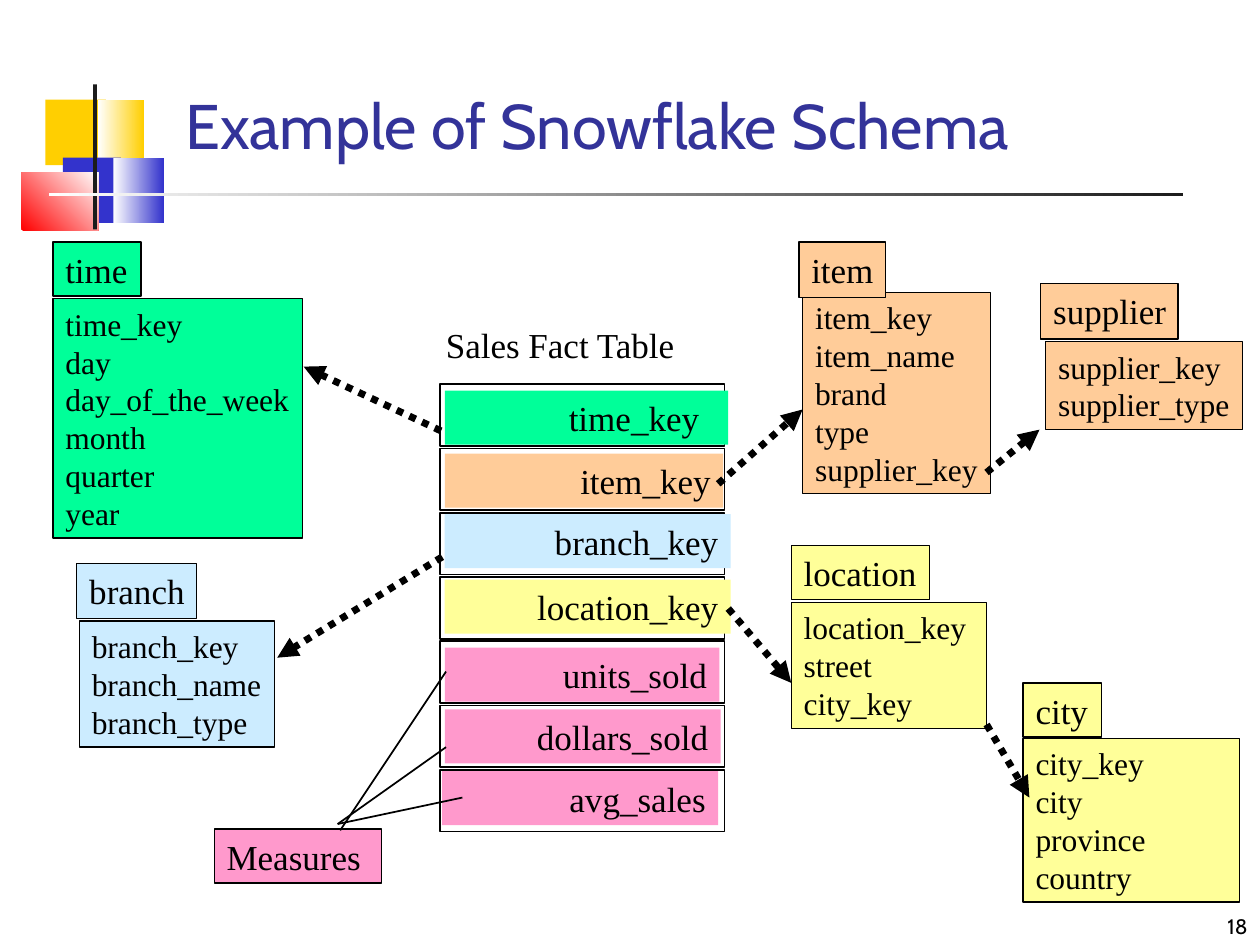
from dataclasses import dataclass

from lxml import etree
from pptx import Presentation
from pptx import util as u
from pptx.dml.color import RGBColor
from pptx.enum import dml, shapes, text
from pptx.oxml import ns


@dataclass(frozen=True)
class Theme:
    """Colours, fonts and sizes of the slide."""
    title: str = "333399"
    ink: str = "000000"
    dark: str = "1C1C1C"
    white: str = "FFFFFF"
    gold: str = "FFCF01"
    blue: str = "3333CC"
    red: str = "FF0000"
    green: str = "00FF99"
    orange: str = "FFCC99"
    sky: str = "CCECFF"
    yellow: str = "FFFF99"
    pink: str = "FF99CC"
    heading_font: str = "Cabin"
    body_font: str = "Times New Roman"
    title_size: int = 36
    label_size: int = 20
    field_size: int = 18
    number_size: int = 12
    card_line: float = 0.75
    thin_line: int = 1
    arrow_line: int = 4


THEME = Theme()
COLUMNS, ROWS = 100, 75
WIDTH, HEIGHT = u.Inches(10), u.Inches(7.5)
LEFT, RIGHT = text.PP_ALIGN.LEFT, text.PP_ALIGN.RIGHT
TOP, BOTTOM = text.MSO_ANCHOR.TOP, text.MSO_ANCHOR.BOTTOM

ORNAMENTS = [
    ((3.6, 7.9, 4.8, 5.2), (THEME.gold,), 0),
    ((7.8, 7.9, 3.6, 5.2), (THEME.white, THEME.gold), 0),
    ((5, 12.5, 4.6, 5.2), (THEME.blue,), 0),
    ((9, 12.5, 4, 5.2), (THEME.white, THEME.blue), 0),
    ((1.7, 13.7, 6.1, 4.6), (THEME.red, THEME.white), 45),
    ((7.4, 6.7, 0.3, 11.5), (THEME.dark,), 0),
    ((3.9, 15.3, 90, 0.3), (THEME.white, THEME.dark), 0),
]
DIMENSIONS = [
    ("time", (4.2, 19.2, 7, 4.3), (4.2, 23.7, 19.8, 19), THEME.green,
     ["time_key", "day", "day_of_the_week", "month", "quarter", "year"]),
    ("location", (62.8, 43.3, 11, 4.3), (62.8, 47.8, 15.5, 10), THEME.yellow,
     ["location_key", "street", "city_key"]),
    ("item", (63.4, 19.2, 6.9, 4.4), (63.7, 23.2, 14.9, 16), THEME.orange,
     ["item_key", "item_name", "brand", "type", "supplier_key"]),
    ("branch", (6.1, 44.7, 9.5, 4.4), (6.3, 49.3, 15.5, 10), THEME.sky,
     ["branch_key", "branch_name", "branch_type"]),
    ("supplier", (82.6, 22.5, 10.9, 4.4), (83, 27.1, 15.6, 7), THEME.orange,
     ["supplier_key", "supplier_type"]),
    ("city", (81.2, 54.2, 6.2, 4.3), (81.2, 58.6, 17.2, 13), THEME.yellow,
     ["city_key", "city", "province", "country"]),
]
FACT_LEFT, FACT_TOP, FACT_WIDTH, FACT_HEIGHT, FACT_PITCH = 34.9, 30.5, 22.6, 4.9, 5.1
FACTS = [
    ("time_key", 35.3, 31, 22.5, THEME.green, 2.3),
    ("item_key", 35.3, 36, 22.1, THEME.orange, 1),
    ("branch_key", 35.3, 40.8, 22.7, THEME.sky, 1),
    ("location_key", 35.3, 46, 22.7, THEME.yellow, 1),
    ("units_sold", 35.3, 51.4, 21.8, THEME.pink, 1),
    ("dollars_sold", 35.3, 56.3, 21.9, THEME.pink, 1),
    ("avg_sales", 35.1, 61.2, 21.9, THEME.pink, 1),
]
MEASURE_LINES = [
    ((27, 65.9), (35.4, 53.3)),
    ((26.8, 65.4), (35.4, 59.3)),
    ((26.8, 65.4), (36.7, 63.3)),
]
KEY_ARROWS = [
    ((35.1, 44.2), (22, 52.2)),
    ((35, 34.2), (24.1, 29.1)),
    ((57.8, 48.3), (62.8, 54.2)),
    ((57, 38.4), (63.7, 32.5)),
    ((78.3, 37.5), (82.5, 34.1)),
    ((78.3, 57.5), (81.7, 63.3)),
]


def columns(count):
    """Return the length of a number of grid columns."""
    return round(WIDTH * count / COLUMNS)


def rows(count):
    """Return the length of a number of grid rows."""
    return round(HEIGHT * count / ROWS)


def place(box):
    """Turn a grid box into left, top, width and height."""
    left, top, width, height = box
    return columns(left), rows(top), columns(width), rows(height)


def apply(target, values):
    """Set each attribute named in a dict of format values."""
    for name, value in values.items():
        setattr(target, name, value)


def write(shape, lines, size, color=THEME.ink, font=THEME.body_font,
          align=LEFT, anchor=TOP, right=0):
    """Write one paragraph per line into a shape."""
    frame = shape.text_frame
    apply(frame, {
        "text": "\n".join(lines), "word_wrap": True, "vertical_anchor": anchor,
        "auto_size": text.MSO_AUTO_SIZE.NONE,
        "margin_left": columns(1), "margin_right": columns(right),
        "margin_top": rows(0.5), "margin_bottom": rows(0.5),
    })
    for paragraph in frame.paragraphs:
        paragraph.alignment = align
        apply(paragraph.font, {"size": u.Pt(size), "name": font})
        paragraph.font.color.rgb = RGBColor.from_string(color)


def add_box(slide, box, fill=None, line=None):
    """Add a rectangle with an optional fill and outline."""
    shape = slide.shapes.add_shape(shapes.MSO_SHAPE.RECTANGLE, *place(box))
    shape.shadow.inherit = False
    if fill:
        shape.fill.solid()
        shape.fill.fore_color.rgb = RGBColor.from_string(fill)
    else:
        shape.fill.background()
    if line:
        shape.line.color.rgb = RGBColor.from_string(THEME.ink)
        shape.line.width = u.Pt(line)
    else:
        shape.line.fill.background()
    return shape


def add_ornament(slide, box, colors, angle):
    """Add a plain or gradient block of the title decoration."""
    shape = add_box(slide, box, colors[0])
    if len(colors) > 1:
        shape.fill.gradient()
        shape.fill.gradient_angle = angle
        for stop, color in zip(shape.fill.gradient_stops, colors):
            stop.color.rgb = RGBColor.from_string(color)


def add_dimension(slide, name, label_box, field_box, color, fields):
    """Add a dimension table: its fields and its name label."""
    write(add_box(slide, field_box, color, THEME.card_line), fields, THEME.field_size)
    write(add_box(slide, label_box, color, THEME.card_line), [name], THEME.label_size)


def add_fact_table(slide):
    """Add the heading and the evenly spaced rows of the fact table."""
    heading = slide.shapes.add_textbox(*place((34.4, 25.2, 20.4, 4.3)))
    write(heading, ["Sales Fact Table"], THEME.label_size)
    for index, (name, left, top, width, color, inset) in enumerate(FACTS):
        frame_top = FACT_TOP + index * FACT_PITCH
        add_box(slide, (FACT_LEFT, frame_top, FACT_WIDTH, FACT_HEIGHT), line=THEME.thin_line)
        key = add_box(slide, (left, top, width, 4.3), color)
        write(key, [name], THEME.label_size, align=RIGHT, right=inset)


def add_line(slide, start, end, width, arrow=False):
    """Add a straight line, dotted with an arrowhead if it is an arrow."""
    connector = slide.shapes.add_connector(
        shapes.MSO_CONNECTOR.STRAIGHT,
        columns(start[0]), rows(start[1]), columns(end[0]), rows(end[1]))
    connector.line.color.rgb = RGBColor.from_string(THEME.ink)
    connector.line.width = u.Pt(width)
    properties = connector._element.spPr
    if arrow:
        connector.line.dash_style = dml.MSO_LINE.ROUND_DOT
        outline = properties.find(ns.qn("a:ln"))
        etree.SubElement(outline, ns.qn("a:tailEnd"), type="triangle")
    etree.SubElement(properties, ns.qn("a:effectLst"))


def add_title(slide):
    """Place and format the title."""
    title = slide.shapes.title
    apply(title, dict(zip(("left", "top", "width", "height"), place((13.7, 0.4, 79, 13)))))
    write(title, ["Example of Snowflake Schema"], THEME.title_size, THEME.title,
          THEME.heading_font, anchor=BOTTOM, right=1)


def main():
    """Build and save the slide."""
    presentation = Presentation()
    apply(presentation, {"slide_width": WIDTH, "slide_height": HEIGHT})
    slide = presentation.slides.add_slide(presentation.slide_layouts[5])
    for ornament in ORNAMENTS:
        add_ornament(slide, *ornament)
    add_title(slide)
    number = slide.shapes.add_textbox(*place((79.2, 70, 20.8, 5)))
    write(number, ["18"], THEME.number_size, font=THEME.heading_font,
          align=RIGHT, anchor=BOTTOM, right=1)
    add_fact_table(slide)
    for dimension in DIMENSIONS:
        add_dimension(slide, *dimension)
    measures = add_box(slide, (17, 65.8, 13.3, 4.3), THEME.pink, THEME.card_line)
    write(measures, ["Measures"], THEME.label_size)
    for start, end in MEASURE_LINES:
        add_line(slide, start, end, THEME.thin_line)
    for start, end in KEY_ARROWS:
        add_line(slide, start, end, THEME.arrow_line, arrow=True)
    presentation.save("out.pptx")


if __name__ == "__main__":
    main()
